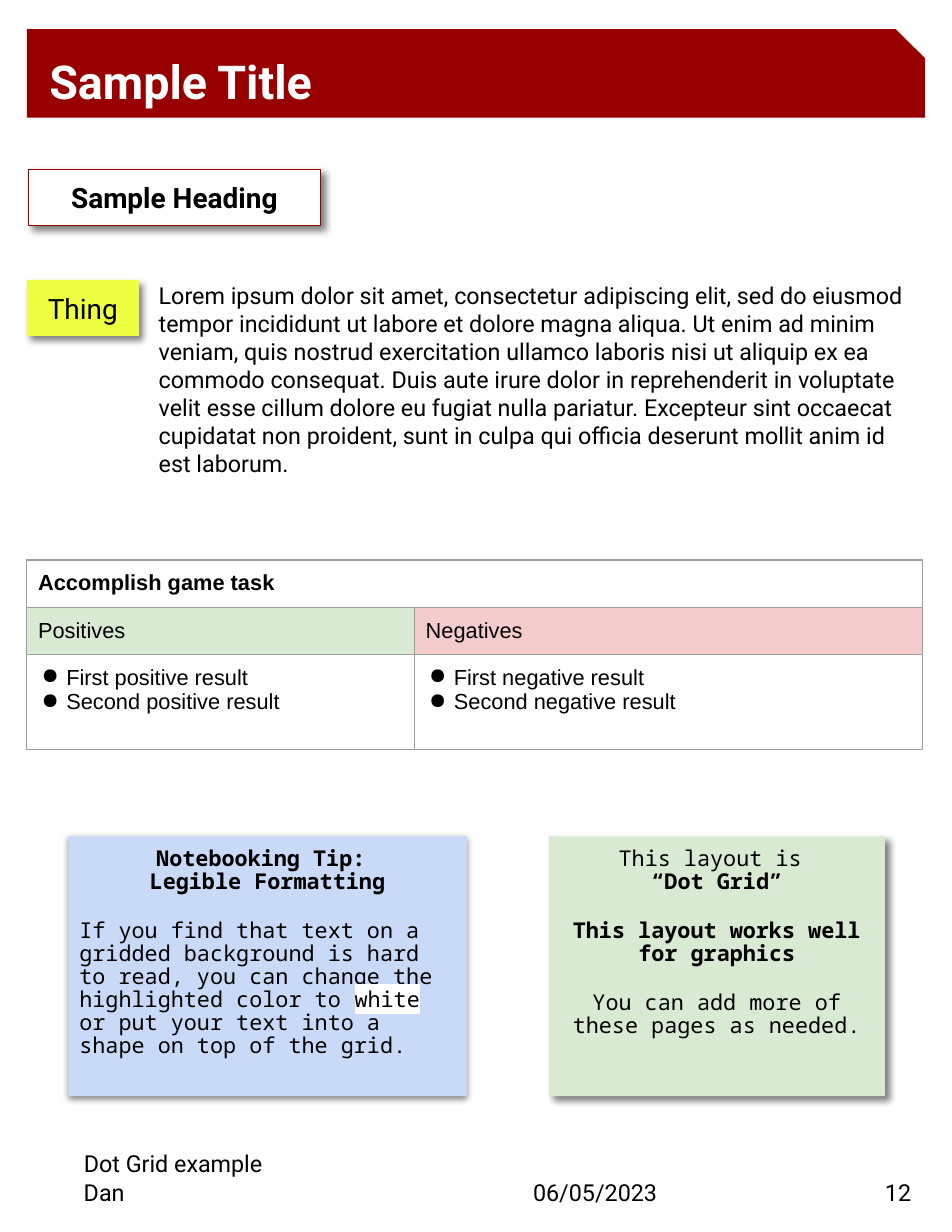
from lxml import etree
from pptx import Presentation
from pptx.dml.color import RGBColor
from pptx.enum.shapes import MSO_SHAPE
from pptx.enum.text import MSO_ANCHOR, MSO_AUTO_SIZE, PP_ALIGN
from pptx.oxml.ns import qn
from pptx.util import Cm, Pt

LEFT, CENTER = PP_ALIGN.LEFT, PP_ALIGN.CENTER
TOP, MIDDLE = MSO_ANCHOR.TOP, MSO_ANCHOR.MIDDLE
RECT, SNIP = MSO_SHAPE.RECTANGLE, MSO_SHAPE.SNIP_1_RECTANGLE
SANS, MONO, TABLE_FONT = "Roboto", "Noto Sans Mono", "Arial"
BLACK, WHITE, RED, GREY = "000000", "FFFFFF", "980000", "9E9E9E"
GREEN, PINK, BLUE, YELLOW = "D9EAD3", "F4CCCC", "C9DAF8", "EEFF41"
INSET = 0.254
NOTE_SPACING, NOTE_GAP = 0.88, 16.8

# Content: a run is (text, bold, highlight); a paragraph is (align, space before, runs)
LOREM = (
    "Lorem ipsum dolor sit amet, consectetur adipiscing elit, sed do eiusmod "
    "tempor incididunt ut labore et dolore magna aliqua. Ut enim ad minim veniam, "
    "quis nostrud exercitation ullamco laboris nisi ut aliquip ex ea commodo "
    "consequat. Duis aute irure dolor in reprehenderit in voluptate velit esse "
    "cillum dolore eu fugiat nulla pariatur. Excepteur sint occaecat cupidatat non "
    "proident, sunt in culpa qui officia deserunt mollit anim id est laborum."
)
LAYOUT_NOTE = [
    (CENTER, 0, [("This layout is ", False, None)]),
    (CENTER, 0, [("“Dot Grid”", True, None)]),
    (CENTER, NOTE_GAP, [("This layout works well for graphics", True, None)]),
    (CENTER, NOTE_GAP, [("You can add more of these pages as needed.", False, None)]),
]
TIP_NOTE = [
    (CENTER, 0, [("Notebooking Tip: ", True, None)]),
    (CENTER, 0, [("Legible Formatting", True, None)]),
    (LEFT, NOTE_GAP, [
        ("If you find that text on a gridded background is hard to read, "
         "you can change the highlighted color to ", False, None),
        ("white", False, WHITE),
        (" or put your text into a shape on top of the grid.", False, None),
    ]),
]
FOOTER_TITLE = "Dot Grid example"
FOOTER = [("Dan", 1.9, 8.89), ("06/05/2023", 12.09, 6.99), ("12", 20.07, 1.35)]
TABLE_ROWS = [
    [(["Accomplish game task"], WHITE)],
    [(["Positives"], GREEN), (["Negatives"], PINK)],
    [(["First positive result", "Second positive result"], WHITE),
     (["First negative result", "Second negative result"], WHITE)],
]
COLUMN_WIDTHS, ROW_HEIGHTS = [8.79, 11.53], [1.07, 1.07, 2.16]


def color(value):
    return RGBColor.from_string(value)


def add_color(parent, value):
    return etree.SubElement(parent, qn("a:srgbClr"), val=value)


def one(text, align=LEFT, bold=False, highlight=None):
    return [(align, 0, [(text, bold, highlight)])]


def place(cm):
    return [Cm(value) for value in cm]


def write(frame, paragraphs, size, font, ink=BLACK, spacing=None, bullet=False):
    for index, (align, before, runs) in enumerate(paragraphs):
        para = frame.paragraphs[0] if index == 0 else frame.add_paragraph()
        para.alignment = align
        para.space_before = Pt(before)
        if spacing:
            para.line_spacing = spacing
        if bullet:
            props = para._p.get_or_add_pPr()
            props.set("marL", str(Cm(0.64)))
            props.set("indent", str(Cm(-0.56)))
            add_color(etree.SubElement(props, qn("a:buClr")), BLACK)
            etree.SubElement(props, qn("a:buChar"), char="●")
        for text, bold, highlight in runs:
            span = para.add_run()
            span.text = text
            span.font.size, span.font.name, span.font.bold = Pt(size), font, bold
            span.font.color.rgb = color(ink)
            if highlight:
                mark = etree.Element(qn("a:highlight"))
                add_color(mark, highlight)
                span._r.rPr.find(qn("a:latin")).addprevious(mark)


def set_frame(frame, insets, anchor=TOP):
    frame.word_wrap = True
    frame.auto_size = MSO_AUTO_SIZE.NONE
    frame.vertical_anchor = anchor
    (frame.margin_left, frame.margin_top,
     frame.margin_right, frame.margin_bottom) = place(insets)


def add_shadow(shape, distance, angle):
    effects = shape._element.spPr.find(qn("a:effectLst"))
    shadow = etree.SubElement(
        effects, qn("a:outerShdw"), blurRad=str(Pt(4.5)), dist=str(Pt(distance)),
        dir=str(angle * 60000), algn="bl", rotWithShape="0")
    etree.SubElement(add_color(shadow, BLACK), qn("a:alpha"), val="50000")


def add_box(page, at, fill, kind=RECT, line=None, shadow=None,
            insets=(INSET,) * 4, anchor=MIDDLE):
    box = page.shapes.add_shape(kind, *place(at))
    box.shadow.inherit = False
    box.fill.solid()
    box.fill.fore_color.rgb = color(fill)
    if line:
        box.line.color.rgb = color(line)
        box.line.width = Pt(0.75)
    else:
        box.line.fill.background()
    if shadow:
        add_shadow(box, *shadow)
    set_frame(box.text_frame, insets, anchor)
    return box


def add_text(page, at, insets):
    box = page.shapes.add_textbox(*place(at))
    set_frame(box.text_frame, insets)
    return box.text_frame


def set_borders(cell):
    props = cell._tc.get_or_add_tcPr()
    for index, side in enumerate(("lnL", "lnR", "lnT", "lnB")):
        edge = etree.Element(qn("a:" + side), w=str(Pt(0.75)))
        add_color(etree.SubElement(edge, qn("a:solidFill")), GREY)
        props.insert(index, edge)


def add_results_table(page):
    table = page.shapes.add_table(
        len(ROW_HEIGHTS), len(COLUMN_WIDTHS),
        *place((0.61, 12.7, sum(COLUMN_WIDTHS), sum(ROW_HEIGHTS)))).table
    for column, width in zip(table.columns, COLUMN_WIDTHS):
        column.width = Cm(width)
    for row, height in zip(table.rows, ROW_HEIGHTS):
        row.height = Cm(height)
    table.cell(0, 0).merge(table.cell(0, 1))
    for r, row in enumerate(TABLE_ROWS):
        for c, (lines, fill) in enumerate(row):
            cell = table.cell(r, c)
            cell.fill.solid()
            cell.fill.fore_color.rgb = color(fill)
            (cell.margin_left, cell.margin_top,
             cell.margin_right, cell.margin_bottom) = place((INSET,) * 4)
            paragraphs = [one(line, bold=r == 0)[0] for line in lines]
            write(cell.text_frame, paragraphs, 14, TABLE_FONT, bullet=r == 2)
    for r in range(len(ROW_HEIGHTS)):
        for c in range(len(COLUMN_WIDTHS)):
            set_borders(table.cell(r, c))


def main():
    deck = Presentation()
    deck.slide_width, deck.slide_height = Cm(21.59), Cm(27.94)
    page = deck.slides.add_slide(deck.slide_layouts[5])

    # Footer: page title, author, date and page number
    title = page.shapes.title
    title.left, title.top, title.width, title.height = place((1.9, 26.06, 19.05, 0.64))
    set_frame(title.text_frame, (0,) * 4)
    write(title.text_frame, one(FOOTER_TITLE), 15, SANS)
    for text, left, width in FOOTER:
        write(add_text(page, (left, 26.72, width, 0.64), (0,) * 4), one(text), 15, SANS)

    # Banner, heading and label
    slanted, below = (3.8, 46), (1.5, 90)
    banner = add_box(page, (0.61, 0.66, 20.37, 2.01), RED, SNIP,
                     insets=(0.51, 0, INSET, 0))
    banner.adjustments[0] = 0.33
    write(banner.text_frame, one("Sample Title", bold=True), 30, SANS, WHITE)
    heading = add_box(page, (0.64, 3.84, 6.63, 1.27), WHITE, line=RED, shadow=slanted)
    write(heading.text_frame, one("Sample Heading", CENTER, True), 18, SANS)
    label = add_box(page, (0.61, 6.35, 2.54, 1.27), YELLOW, shadow=slanted)
    write(label.text_frame, one("Thing", CENTER), 18, SANS)

    # Body text and results table
    body = add_text(page, (3.35, 6.12, 17.6, 5), (INSET,) * 4)
    write(body, one(LOREM, highlight=WHITE), 15, SANS)
    add_results_table(page)

    # Notes
    for left, width, fill, shadow, paragraphs in (
        (12.45, 7.62, GREEN, slanted, LAYOUT_NOTE),
        (1.55, 9.04, BLUE, below, TIP_NOTE),
    ):
        note = add_box(page, (left, 18.97, width, 5.89), fill, shadow=shadow, anchor=TOP)
        write(note.text_frame, paragraphs, 14, MONO, spacing=NOTE_SPACING)

    deck.save("out.pptx")


if __name__ == "__main__":
    main()
